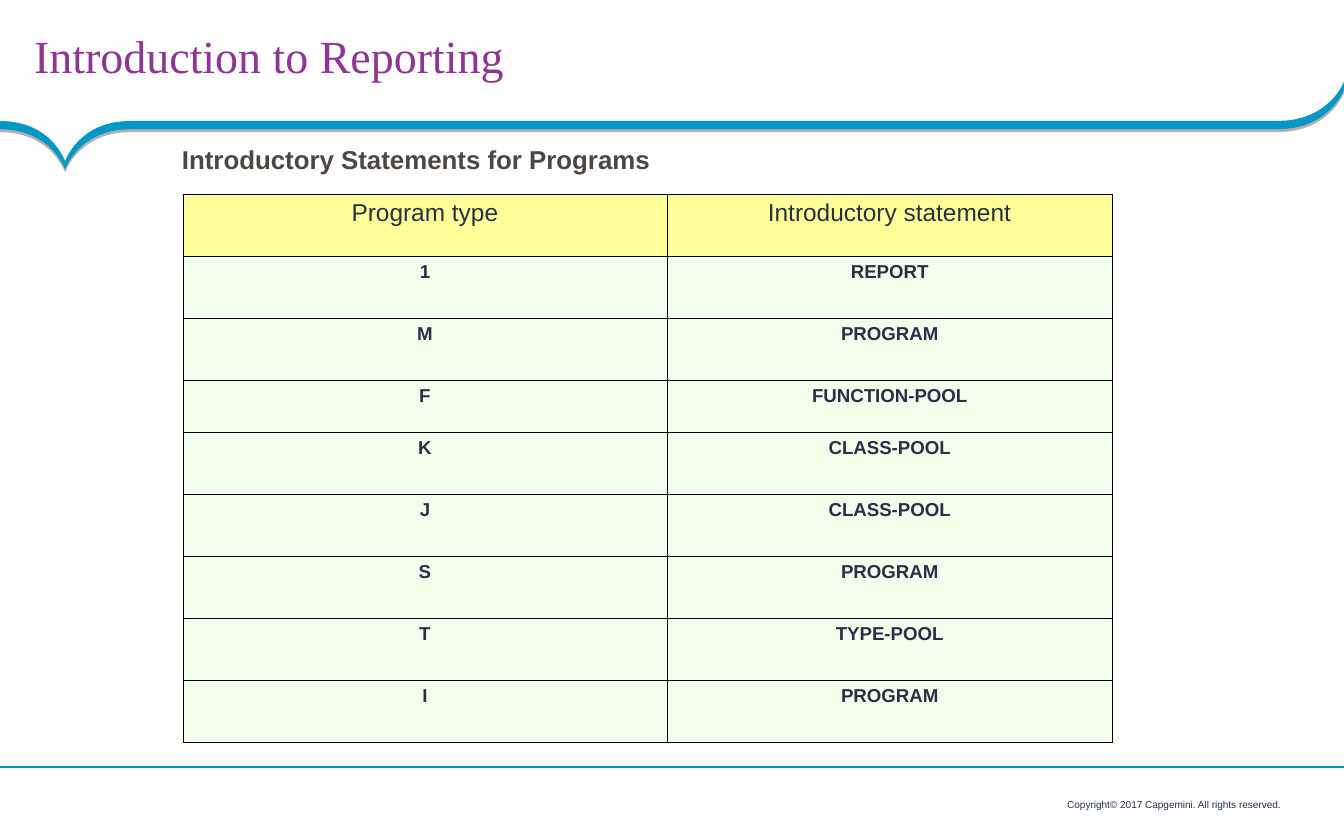
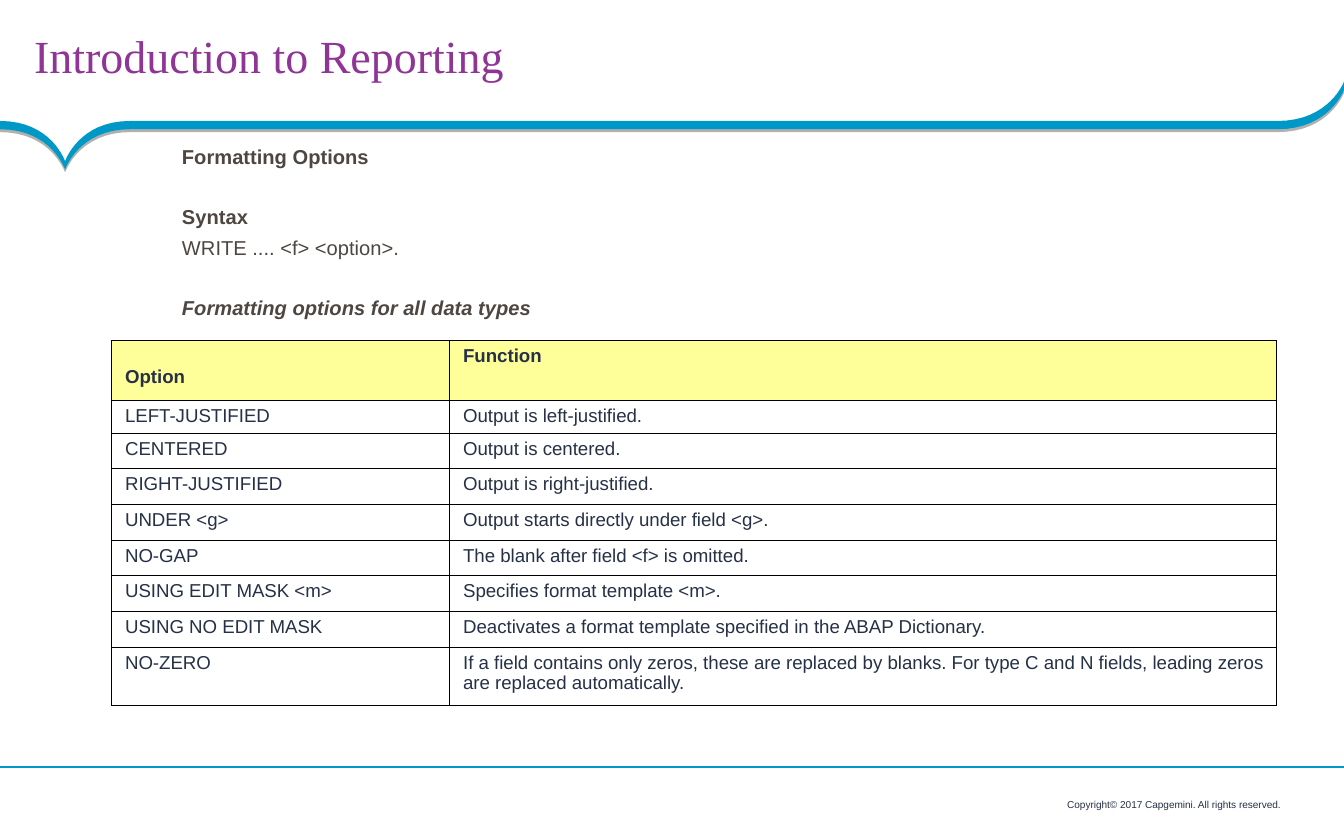
from lxml.etree import SubElement
from pptx import Presentation
from pptx.dml.color import RGBColor
from pptx.enum.shapes import MSO_CONNECTOR
from pptx.enum.text import MSO_ANCHOR, MSO_AUTO_SIZE, PP_ALIGN
from pptx.oxml.ns import qn
from pptx.util import Inches, Pt

COLORS = {
    "band": "0098C7", "title": "8E3595", "body": "4E4641", "ink": "263147",
    "header": "FFFF99", "mint": "F2FFEB", "border": "000000",
}
TITLE = "Introduction to Reporting"
COPYRIGHT = "Copyright© 2017 Capgemini. All rights reserved."
CURVE_STEPS = 16

PROGRAM_TYPES = [
    ("Program type", "Introductory statement"),
    ("1", "REPORT"),
    ("M", "PROGRAM"),
    ("F", "FUNCTION-POOL"),
    ("K", "CLASS-POOL"),
    ("J", "CLASS-POOL"),
    ("S", "PROGRAM"),
    ("T", "TYPE-POOL"),
    ("I", "PROGRAM"),
]
FORMAT_OPTIONS = [
    ("Option", "Function"),
    ("LEFT-JUSTIFIED", "Output is left-justified."),
    ("CENTERED", "Output is centered."),
    ("RIGHT-JUSTIFIED", "Output is right-justified."),
    ("UNDER <g>", "Output starts directly under field <g>."),
    ("NO-GAP", "The blank after field <f> is omitted."),
    ("USING EDIT MASK <m>", "Specifies format template <m>."),
    ("USING NO EDIT MASK", "Deactivates a format template specified in the ABAP Dictionary."),
    ("NO-ZERO", "If a field contains only zeros, these are replaced by blanks. "
                "For type C and N fields, leading zeros are replaced automatically."),
]


def rgb(name):
    return RGBColor.from_string(COLORS[name])


def write(p, text, size=14, color="ink", font="Arial", bold=False, italic=False,
          align=PP_ALIGN.LEFT, line=1.0, before=0, after=0):
    p.alignment, p.line_spacing = align, line
    p.space_before, p.space_after = Pt(before), Pt(after)
    r = p.add_run()
    r.text = text
    r.font.name, r.font.size = font, Pt(size)
    r.font.bold, r.font.italic = bold, italic
    r.font.color.rgb = rgb(color)


def place(sp, left, top, width, height):
    sp.left, sp.top = Inches(left), Inches(top)
    sp.width, sp.height = Inches(width), Inches(height)


def set_frame(tf, margins, anchor):
    tf.word_wrap, tf.auto_size = True, MSO_AUTO_SIZE.NONE
    tf.vertical_anchor = anchor
    tf.margin_left, tf.margin_top, tf.margin_right, tf.margin_bottom = map(Inches, margins)


def bezier(start, c1, c2, end):
    for step in range(1, CURVE_STEPS + 1):
        t = step / CURVE_STEPS
        u = 1 - t
        yield tuple(u**3 * a + 3 * u * u * t * b + 3 * u * t * t * c + t**3 * d
                    for a, b, c, d in zip(start, c1, c2, end))


def band_edge(y):
    tip, corner = (0.63, y + 0.39), (13, y - 0.38)
    left, valley, right = (0, y), (1.26, y), (12.36, y)
    return [left, *bezier(left, (0.5, y), tip, tip),
            *bezier(tip, tip, (0.76, y), valley),
            right, *bezier(right, (12.86, y), corner, corner)]


def add_band(s):
    points = band_edge(1.17) + band_edge(1.25)[::-1]
    start, *rest = [(Inches(x), Inches(y)) for x, y in points]
    builder = s.shapes.build_freeform(*start)
    builder.add_line_segments(rest, close=True)
    sp = builder.convert_to_shape()
    sp.fill.solid()
    sp.fill.fore_color.rgb = rgb("band")
    sp.line.fill.background()
    sp.shadow.inherit = False
    effects = sp.element.spPr.find(qn("a:effectLst"))
    shadow = SubElement(effects, qn("a:outerShdw"), dist=str(Pt(2)), dir="5400000",
                        algn="t", rotWithShape="0")
    color = SubElement(shadow, qn("a:srgbClr"), val=COLORS["border"])
    SubElement(color, qn("a:alpha"), val="31000")
    return sp


def add_rule(s, y):
    rule = s.shapes.add_connector(MSO_CONNECTOR.STRAIGHT, Inches(13), Inches(y), 0, Inches(y))
    rule.line.color.rgb = rgb("band")
    rule.line.width = Pt(0.75)
    SubElement(rule.element.spPr, qn("a:effectLst"))
    return rule


def add_copyright(s):
    sp = s.shapes.add_textbox(Inches(9.76), Inches(7.64), Inches(3.19), Inches(0.28))
    set_frame(sp.text_frame, (0, 0, 0, 0), MSO_ANCHOR.MIDDLE)
    write(sp.text_frame.paragraphs[0], COPYRIGHT, size=7, align=PP_ALIGN.CENTER)
    return sp


def decorate_layout(s):
    layout = s.slide_layout
    for ph in list(layout.placeholders):
        if ph.placeholder_format.idx >= 10:
            layout.shapes.element.remove(ph.element)
    for sp in (add_band(s), add_rule(s, 7.42), add_copyright(s)):
        layout.shapes.element.append(sp.element)


def set_title(s):
    sp = s.shapes.title
    place(sp, 0, 0.26, 11.91, 0.64)
    set_frame(sp.text_frame, (0.33, 0.04, 0.18, 0.04), MSO_ANCHOR.MIDDLE)
    write(sp.text_frame.paragraphs[0], TITLE, size=32, color="title",
          font="Times New Roman", line=0.85)


def set_body(s, height, items):
    sp = s.placeholders[1]
    place(sp, 1.64, 1.34, 11.36, height)
    tf = sp.text_frame
    set_frame(tf, (0.12, 0.08, 0.08, 0.08), MSO_ANCHOR.TOP)
    for i, (text, level, style) in enumerate(items):
        p = tf.add_paragraph() if i else tf.paragraphs[0]
        p.level = level
        pPr = p._p.get_or_add_pPr()
        pPr.set("marL", "0")
        pPr.set("indent", "0")
        SubElement(pPr, qn("a:buNone"))
        write(p, text, color="body", line=0.9, after=6, **style)


def set_borders(cell):
    tcPr = cell._tc.get_or_add_tcPr()
    for side in ("lnL", "lnR", "lnT", "lnB"):
        ln = SubElement(tcPr, qn("a:" + side), w=str(Pt(0.45)))
        fill = SubElement(ln, qn("a:solidFill"))
        SubElement(fill, qn("a:srgbClr"), val=COLORS["border"])


def fill_cell(cell, text, fill, style):
    cell.margin_left = cell.margin_right = Inches(0.13)
    cell.margin_top = cell.margin_bottom = Inches(0.05)
    set_borders(cell)
    if fill:
        cell.fill.solid()
        cell.fill.fore_color.rgb = rgb(fill)
    else:
        cell.fill.background()
    write(cell.text_frame.paragraphs[0], text, **style)


def add_grid(s, left, top, widths, heights, rows, header, body, body_fill=None):
    frame = s.shapes.add_table(len(rows), len(widths), Inches(left), Inches(top),
                               Inches(sum(widths)), Inches(sum(heights)))
    table = frame.table
    table.first_row = table.horz_banding = False
    for column, width in zip(table.columns, widths):
        column.width = Inches(width)
    for r, (height, texts) in enumerate(zip(heights, rows)):
        table.rows[r].height = Inches(height)
        for c, text in enumerate(texts):
            fill, style = (body_fill, body) if r else ("header", header)
            fill_cell(table.cell(r, c), text, fill, style)
    return table


def add_slide(prs, height, items):
    s = prs.slides.add_slide(prs.slide_layouts[1])
    set_title(s)
    set_body(s, height, items)
    return s


def main():
    prs = Presentation()
    prs.slide_width, prs.slide_height = Inches(13), Inches(8)

    s = add_slide(prs, 0.61, [
        ("Introductory Statements for Programs", 0, dict(size=18, bold=True)),
    ])
    decorate_layout(s)
    add_grid(s, 1.77, 1.88, (4.68, 4.31), [0.6] * 3 + [0.5] + [0.6] * 5, PROGRAM_TYPES,
             header=dict(size=17, align=PP_ALIGN.CENTER),
             body=dict(size=13, bold=True, align=PP_ALIGN.CENTER), body_fill="mint")

    s = add_slide(prs, 5.5, [
        ("Formatting Options", 0, dict(bold=True)),
        ("Syntax", 0, dict(bold=True, before=21)),
        ("WRITE .... <f> <option>.", 1, {}),
        ("Formatting options for all data types", 1, dict(bold=True, italic=True, before=21)),
    ])
    table = add_grid(s, 1.08, 3.29, (3.27, 8), [0.58, 0.32] + [0.345] * 6 + [0.56],
                     FORMAT_OPTIONS, header=dict(size=13, bold=True), body=dict(size=13))
    table.cell(0, 0).margin_top = Inches(0.26)

    prs.save("out.pptx")


if __name__ == "__main__":
    main()
